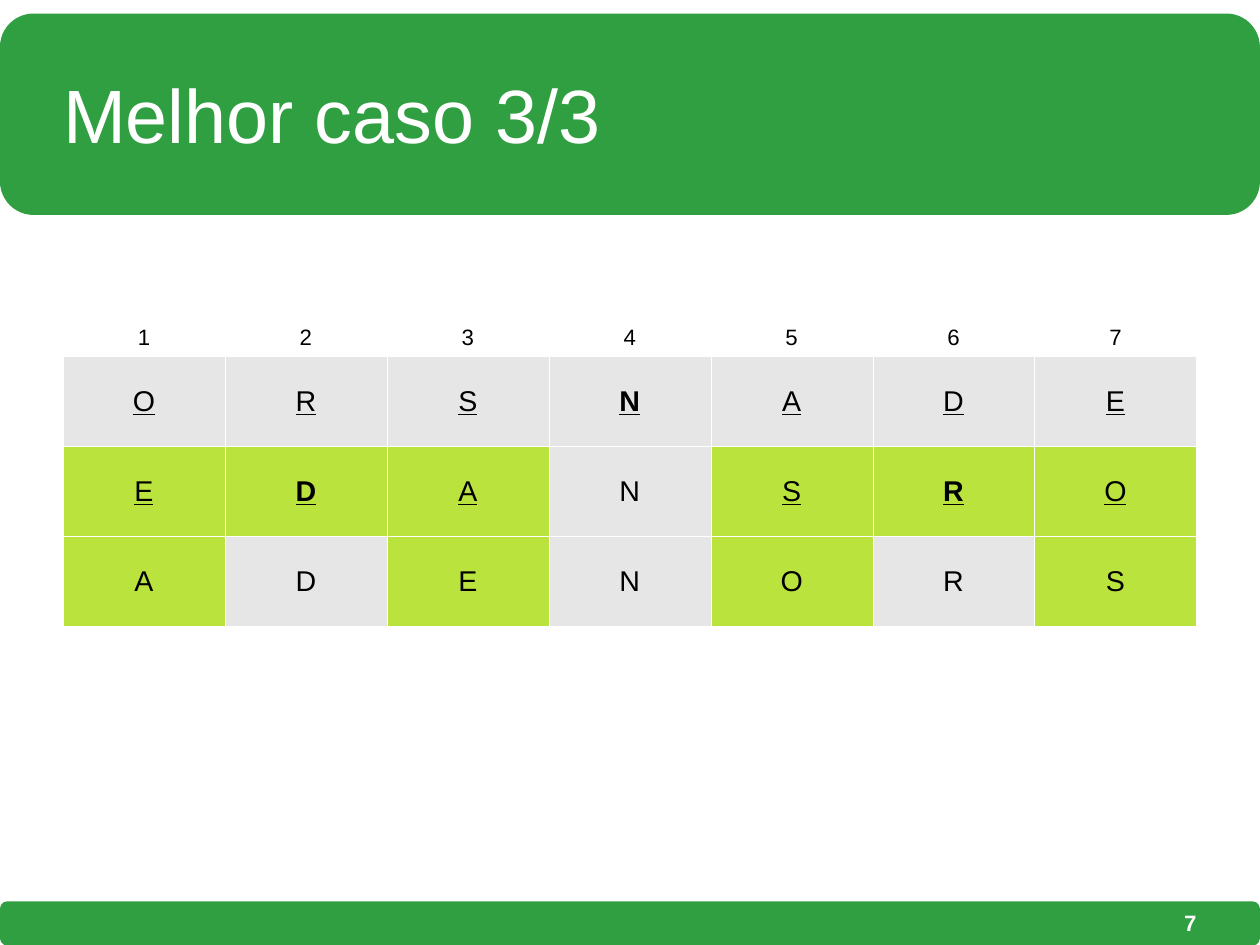
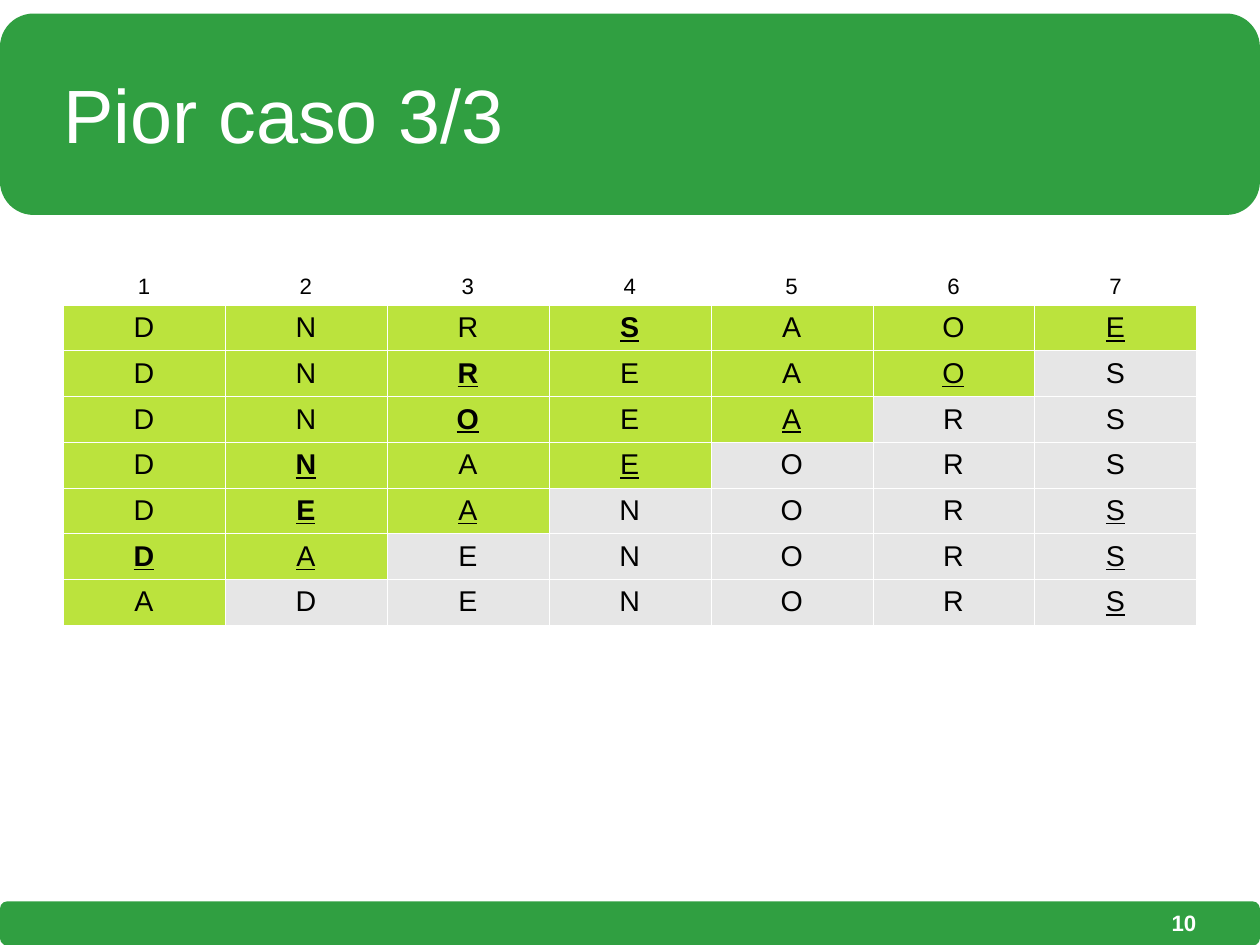
from dataclasses import dataclass
from typing import Any

from lxml.etree import SubElement
from pptx import Presentation
from pptx.dml.color import RGBColor
from pptx.enum.shapes import MSO_SHAPE as Shape
from pptx.enum.text import MSO_ANCHOR as Anchor, MSO_AUTO_SIZE as AutoSize, PP_ALIGN as Align
from pptx.oxml.ns import qn
from pptx.util import Pt

WIDTH, HEIGHT = 793.7, 595.3
MARGIN = 39.7
TABLE_TOP = 167.8
COLUMN_WIDTH = 102
COLUMNS = 7
CONTENT_WIDTH = COLUMNS * COLUMN_WIDTH
GREEN, LIME, GRAY, WHITE, BLACK = "309F41", "BBE33D", "E6E6E6", "FFFFFF", "000000"
FONT = "Arial"
FRAME = {"margin_left": 0, "margin_right": 0, "margin_top": 0, "margin_bottom": 0,
         "word_wrap": True, "auto_size": AutoSize.NONE, "vertical_anchor": Anchor.MIDDLE}


@dataclass(frozen=True)
class Band:
    top: float
    height: float


@dataclass(frozen=True)
class Step:
    letters: str
    pivots: str = ""
    underlined: str = ""
    active: str = ""


@dataclass(frozen=True)
class Case:
    title: str
    number: int
    header_height: float
    row_height: float
    steps: list[Step]


BANDS = [Band(8.5, 126.9), Band(567.8, 27.9)]

CASES = [
    Case("Melhor caso 3/3", 7, 56.7, 56.7, [
        Step("ORSNADE", pivots="4", underlined="123567"),
        Step("EDANSRO", pivots="26", underlined="1357", active="123567"),
        Step("ADENORS", active="1357"),
    ]),
    Case("Pior caso 3/3", 10, 24.2, 28.8, [
        Step("DNRSAOE", pivots="4", underlined="7", active="1234567"),
        Step("DNREAOS", pivots="3", underlined="6", active="123456"),
        Step("DNOEARS", pivots="3", underlined="5", active="12345"),
        Step("DNAEORS", pivots="2", underlined="4", active="1234"),
        Step("DEANORS", pivots="2", underlined="37", active="123"),
        Step("DAENORS", pivots="1", underlined="27", active="12"),
        Step("ADENORS", underlined="7", active="1"),
    ]),
]


def rgb(color: str) -> RGBColor:
    return RGBColor.from_string(color)


def apply(target: Any, values: dict[str, Any]) -> None:
    for name, value in values.items():
        setattr(target, name, value)


def write(tf: Any, text: str, size: float, color: str, align: Any, **style: bool) -> None:
    p = tf.paragraphs[0]
    p.alignment = align
    r = p.add_run()
    r.text = text
    apply(r.font, {"name": FONT, "size": Pt(size), **style})
    r.font.color.rgb = rgb(color)


def add_bands(layout: Any, slide: Any) -> None:
    for ph in list(layout.placeholders)[1:]:
        ph.element.getparent().remove(ph.element)
    for band in BANDS:
        s = slide.shapes.add_shape(Shape.ROUNDED_RECTANGLE, 0, Pt(band.top),
                                   Pt(WIDTH), Pt(band.height))
        s.shadow.inherit = False
        s.fill.solid()
        s.fill.fore_color.rgb = rgb(GREEN)
        s.line.fill.background()
        layout.shapes.element.insert(2, s.element)


def add_title(slide: Any, text: str) -> None:
    s = slide.shapes.title
    apply(s, {"left": Pt(MARGIN), "top": Pt(22.5),
              "width": Pt(CONTENT_WIDTH), "height": Pt(98)})
    apply(s.text_frame, FRAME)
    write(s.text_frame, text, 47.6, WHITE, Align.LEFT)


def add_number(slide: Any, number: int) -> None:
    width = 185
    s = slide.shapes.add_textbox(Pt(MARGIN + CONTENT_WIDTH - width), Pt(567),
                                 Pt(width), Pt(28))
    apply(s.text_frame, FRAME)
    write(s.text_frame, str(number), 14, WHITE, Align.RIGHT, bold=True)


def add_borders(cell: Any) -> None:
    tcPr = cell._tc.get_or_add_tcPr()
    for i, side in enumerate(("lnL", "lnR", "lnT", "lnB")):
        line = SubElement(tcPr, qn(f"a:{side}"), w=str(int(Pt(0.06))))
        fill = SubElement(line, qn("a:solidFill"))
        SubElement(fill, qn("a:srgbClr"), val=WHITE)
        tcPr.insert(i, line)


def add_steps(slide: Any, case: Case) -> None:
    heights = [case.header_height] + [case.row_height] * len(case.steps)
    table = slide.shapes.add_table(len(heights), COLUMNS, Pt(MARGIN), Pt(TABLE_TOP),
                                   Pt(CONTENT_WIDTH), Pt(sum(heights))).table
    apply(table, {"first_row": False, "horz_banding": False})
    for column in table.columns:
        column.width = Pt(COLUMN_WIDTH)
    for row, height in zip(table.rows, heights):
        row.height = Pt(height)
    for i in range(COLUMNS):
        position = str(i + 1)
        header = table.cell(0, i)
        header.vertical_anchor = Anchor.BOTTOM
        header.fill.background()
        add_borders(header)
        write(header.text_frame, position, 14, BLACK, Align.CENTER)
        for j, step in enumerate(case.steps, 1):
            cell = table.cell(j, i)
            cell.vertical_anchor = Anchor.MIDDLE
            cell.fill.solid()
            cell.fill.fore_color.rgb = rgb(LIME if position in step.active else GRAY)
            add_borders(cell)
            write(cell.text_frame, step.letters[i], 18, BLACK, Align.CENTER,
                  bold=position in step.pivots,
                  underline=position in step.pivots + step.underlined)


def main() -> None:
    prs = Presentation()
    apply(prs, {"slide_width": Pt(WIDTH), "slide_height": Pt(HEIGHT)})
    layout = prs.slide_layouts[5]
    slides = [prs.slides.add_slide(layout) for _ in CASES]
    add_bands(layout, slides[0])
    for slide, case in zip(slides, CASES):
        add_title(slide, case.title)
        add_steps(slide, case)
        add_number(slide, case.number)
    prs.save("out.pptx")


if __name__ == "__main__":
    main()
